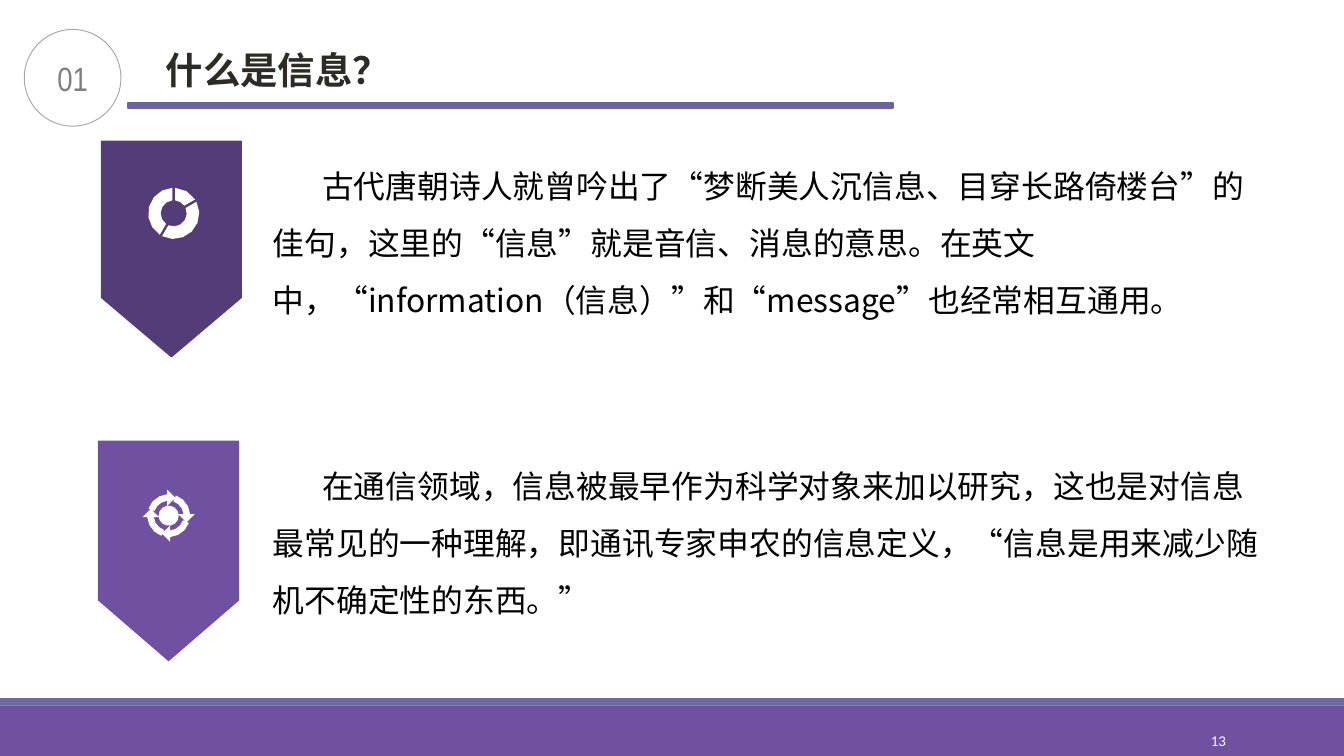
from dataclasses import dataclass
from math import cos, radians, sin

from lxml.etree import SubElement
from pptx import Presentation
from pptx.dml.color import RGBColor
from pptx.enum.lang import MSO_LANGUAGE_ID
from pptx.enum.shapes import MSO_SHAPE
from pptx.enum.text import MSO_ANCHOR, MSO_AUTO_SIZE, PP_ALIGN
from pptx.oxml.ns import qn
from pptx.util import Pt


@dataclass(frozen=True)
class Theme:
    dark: str = "543C78"
    main: str = "7050A0"
    band: str = "6D69A3"
    rule: str = "6964A0"
    ring: str = "A6A6A6"
    gray: str = "808080"
    head: str = "2E2B25"
    ink: str = "000000"
    white: str = "FFFFFF"
    sans: str = "Noto Sans CJK SC"
    slim: str = "Arial Narrow"
    plain: str = "Calibri"
    title: float = 20
    badge: float = 18
    body: float = 17
    page: float = 8


theme = Theme()
WIDE, HIGH = 720, 405


def color(code):
    return RGBColor.from_string(code)


def paint(shape, fill=None, line=None, width=0.75):
    shape.shadow.inherit = False
    if fill:
        shape.fill.solid()
        shape.fill.fore_color.rgb = color(fill)
    else:
        shape.fill.background()
    if line:
        shape.line.color.rgb = color(line)
        shape.line.width = Pt(width)
    else:
        shape.line.fill.background()


def block(slide, kind, box, fill=None, line=None, width=0.75):
    shape = slide.shapes.add_shape(kind, *map(Pt, box))
    paint(shape, fill, line, width)
    return shape


def outline(slide, paths, fill, line=None):
    paths = [[(Pt(x), Pt(y)) for x, y in path] for path in paths]
    pen = slide.shapes.build_freeform(*paths[0][0])
    for place, path in enumerate(paths):
        if place:
            pen.move_to(*path[0])
        pen.add_line_segments(path[1:], close=True)
    paint(pen.convert_to_shape(), fill, line)


def write(shape, text, face, size, ink, align=PP_ALIGN.LEFT,
          anchor=MSO_ANCHOR.TOP, bold=False, inset=(5, 3), wrap=True):
    frame = shape.text_frame
    frame.text = text
    frame.word_wrap = wrap
    frame.auto_size = MSO_AUTO_SIZE.NONE
    frame.vertical_anchor = anchor
    frame.margin_left = frame.margin_right = Pt(inset[0])
    frame.margin_top = frame.margin_bottom = Pt(inset[1])
    para = frame.paragraphs[0]
    para.alignment = align
    for run in para.runs:
        font = run.font
        font.name, font.size, font.bold = face, Pt(size), bold
        font.color.rgb = color(ink)
        font.language_id = MSO_LANGUAGE_ID.SIMPLIFIED_CHINESE
        SubElement(run._r.get_or_add_rPr(), qn("a:ea"), typeface=face)
    return para


def arc(mid, size, start, end):
    steps = max(1, round(abs(end - start) / 26))
    turns = [radians(start + (end - start) * i / steps) for i in range(steps + 1)]
    return [(mid[0] + size * cos(t), mid[1] + size * sin(t)) for t in turns]


def donut(slide, mid):
    cuts = [-90, -30, 120, 270]
    parts = [arc(mid, 13.7, a + 3, b - 3) + arc(mid, 7, b - 6, a + 6)
             for a, b in zip(cuts, cuts[1:])]
    outline(slide, parts, theme.white)


def target(slide, mid):
    parts = [arc(mid, 5.4, 0, 360)[:-1]]
    for turn in range(0, 360, 90):
        c, s = cos(radians(turn)), sin(radians(turn))
        tip = [(mid[0] + x * c - y * s, mid[1] + x * s + y * c)
               for x, y in [(14, -0.8), (9.6, 3.6), (5.2, -0.8)]]
        parts.append(arc(mid, 11.5, turn - 70, turn - 4) + tip
                     + arc(mid, 8, turn - 6, turn - 72))
    outline(slide, parts, theme.white)


def header(slide, box, mark, text):
    left, top, wide, high = box
    rule = (left + 55.4, top + 39.4, wide - 55.4, 2.8)
    block(slide, MSO_SHAPE.RECTANGLE, rule, theme.rule, theme.rule, 1.25)
    badge = block(slide, MSO_SHAPE.OVAL, (left, top, high, high),
                  line=theme.ring, width=0.5)
    write(badge, mark, theme.slim, theme.badge, theme.gray,
          PP_ALIGN.CENTER, MSO_ANCHOR.MIDDLE)
    title = slide.shapes.title
    title.left, title.top = Pt(left + 70.8), Pt(top + 6.5)
    title.width, title.height = Pt(132.5), Pt(29.5)
    write(title, text, theme.sans, theme.title, theme.head, bold=True, wrap=False)


def point(slide, box, fill, icon, spot, text):
    left, top, wide, high = box
    edge, neck = left + 74.9, top + high * 0.725
    flag = [(left, top), (edge, top), (edge, neck),
            (left + 37.45, top + high), (left, neck)]
    outline(slide, [flag], fill, fill)
    icon(slide, (left + spot[0], top + spot[1]))
    start = 139
    note = slide.shapes.add_textbox(Pt(start), Pt(top), Pt(left + wide - start), Pt(100))
    para = write(note, text, theme.sans, theme.body, theme.ink, inset=(7.2, 3.6))
    para.line_spacing = 1.5
    para._p.get_or_add_pPr().set("indent", str(Pt(26.5)))


def footer(slide, box, number):
    left, top, wide, high = box
    block(slide, MSO_SHAPE.RECTANGLE, (left, top + 3.8, wide, high - 3.8), theme.main)
    block(slide, MSO_SHAPE.RECTANGLE, (left, top, wide, 3.8), theme.band)
    page = slide.shapes.add_textbox(Pt(left + 584), Pt(top + 11.8), Pt(77.8), Pt(21.6))
    write(page, number, theme.plain, theme.page, theme.white,
          PP_ALIGN.RIGHT, MSO_ANCHOR.MIDDLE)


def main():
    deck = Presentation()
    deck.slide_width, deck.slide_height = Pt(WIDE), Pt(HIGH)
    slide = deck.slides.add_slide(deck.slide_layouts[5])
    footer(slide, (0, 374.1, WIDE, HIGH - 374.1), "13")
    header(slide, (13, 15.8, 465.1, 51.8), "01", "什么是信息？")
    point(slide, (54.4, 75.7, 636.1, 115.4), theme.dark, donut, (38.7, 38.6),
          "古代唐朝诗人就曾吟出了“梦断美人沉信息、目穿长路倚楼台”的佳句，"
          "这里的“信息”就是音信、消息的意思。在英文中，“information（信息）”"
          "和“message”也经常相互通用。")
    point(slide, (52.9, 236.4, 637.6, 117.4), theme.main, target, (37.5, 39.9),
          "在通信领域，信息被最早作为科学对象来加以研究，这也是对信息最常见的一种理解，"
          "即通讯专家申农的信息定义，“信息是用来减少随机不确定性的东西。”")
    deck.save("out.pptx")


if __name__ == "__main__":
    main()
